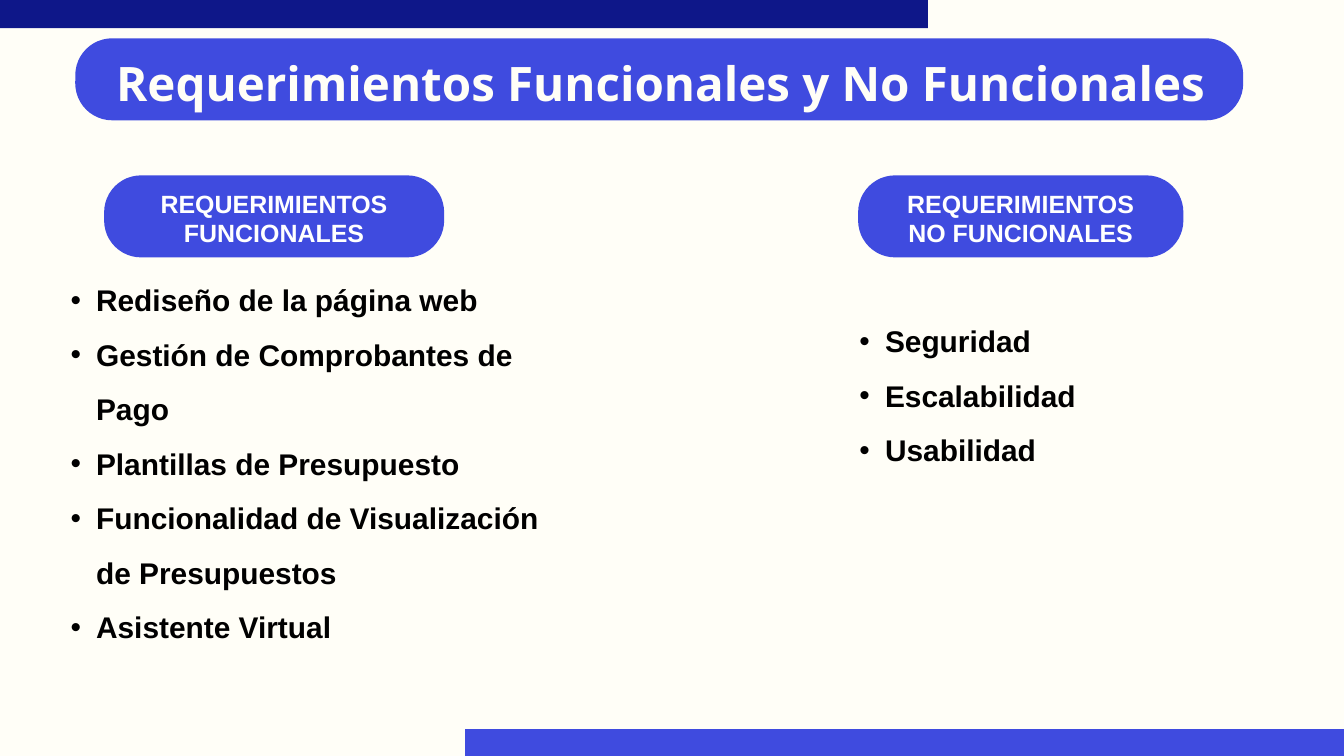
"""Build the slide that lists functional and non-functional requirements."""
from dataclasses import dataclass
from typing import Any, NamedTuple

from lxml import etree
from pptx import Presentation
from pptx import util as u
from pptx.dml import color
from pptx.enum import shapes, text
from pptx.oxml import ns

WIDTH, HEIGHT = u.Inches(20), u.Inches(11.25)
COLUMNS, ROWS = 20, 11.25
PILL_ROUNDING = 0.45
BULLET_INDENT = 0.76


class Area(NamedTuple):
    left: float
    top: float
    width: float
    height: float


class TextStyle(NamedTuple):
    font: dict[str, Any]
    color: str
    paragraph: dict[str, Any]
    bullet: str = ""


@dataclass(frozen=True)
class Theme:
    background: str = "FFFEF7"
    accent: str = "3F4BDF"
    dark: str = "0E1789"
    title: TextStyle = TextStyle(
        {"name": "Open Sans", "size": u.Pt(50.9), "bold": True}, "FFFEF7",
        {"alignment": text.PP_ALIGN.CENTER, "line_spacing": 1.4})
    heading: TextStyle = TextStyle(
        {"name": "Arial", "size": u.Pt(26.7), "bold": True}, "FFFFFF",
        {"alignment": text.PP_ALIGN.CENTER})
    item: TextStyle = TextStyle(
        {"name": "Arial", "size": u.Pt(32), "bold": True}, "000000",
        {"level": 1, "line_spacing": 1.52}, "•")


@dataclass(frozen=True)
class Requirements:
    heading: str
    pill: Area
    items: tuple[str, ...]
    list_area: Area


THEME = Theme()
TITLE = "Requerimientos Funcionales y No Funcionales"
TITLE_PILL = Area(1.12, 0.57, 17.38, 1.22)
TITLE_AREA = Area(1.67, 0.46, 16.32, 1.95)
BARS = (
    (Area(-2.1, -1.21, 15.91, 1.63), THEME.dark),
    (Area(6.92, 10.85, 13.8, 0.9), THEME.accent),
)
GROUPS = (
    Requirements(
        "REQUERIMIENTOS FUNCIONALES",
        Area(1.55, 2.61, 5.06, 1.22),
        ("Rediseño de la página web", "Gestión de Comprobantes de Pago",
         "Plantillas de Presupuesto",
         "Funcionalidad de Visualización de Presupuestos", "Asistente Virtual"),
        Area(0.67, 3.92, 7.9, 5.29)),
    Requirements(
        "REQUERIMIENTOS NO FUNCIONALES",
        Area(12.77, 2.61, 4.84, 1.22),
        ("Seguridad", "Escalabilidad", "Usabilidad"),
        Area(12.41, 4.53, 5.89, 2.78)),
)


def across(columns: float) -> int:
    """Turn grid columns into a length."""
    return round(WIDTH * columns / COLUMNS)


def down(rows: float) -> int:
    """Turn grid rows into a length."""
    return round(HEIGHT * rows / ROWS)


def place(area: Area) -> tuple[int, int, int, int]:
    """Turn a grid area into left, top, width and height."""
    return across(area.left), down(area.top), across(area.width), down(area.height)


def apply(target: Any, values: dict[str, Any]) -> None:
    """Set every named attribute on the target."""
    for name, value in values.items():
        setattr(target, name, value)


def add_block(slide: Any, kind: shapes.MSO_SHAPE, area: Area, fill: str) -> Any:
    """Draw a plain filled shape without line or shadow."""
    shape = slide.shapes.add_shape(kind, *place(area))
    shape.shadow.inherit = False
    shape.fill.solid()
    shape.fill.fore_color.rgb = color.RGBColor.from_string(fill)
    shape.line.fill.background()
    return shape


def add_pill(slide: Any, area: Area) -> None:
    """Draw a bar with round ends."""
    pill = add_block(slide, shapes.MSO_SHAPE.ROUNDED_RECTANGLE, area, THEME.accent)
    pill.adjustments[0] = PILL_ROUNDING


def add_bullet(paragraph: Any, style: TextStyle) -> None:
    """Give a paragraph a hanging bullet."""
    properties = paragraph._p.get_or_add_pPr()
    properties.set("marL", str(across(BULLET_INDENT)))
    properties.set("indent", str(-across(BULLET_INDENT / 2)))
    bullet_color = etree.SubElement(properties, ns.qn("a:buClr"))
    etree.SubElement(bullet_color, ns.qn("a:srgbClr"), val=style.color)
    etree.SubElement(properties, ns.qn("a:buFont"), typeface=style.font["name"])
    etree.SubElement(properties, ns.qn("a:buChar"), char=style.bullet)


def add_text(slide: Any, area: Area, lines: tuple[str, ...], style: TextStyle) -> None:
    """Write one paragraph for each line in a text box."""
    frame = slide.shapes.add_textbox(*place(area)).text_frame
    apply(frame, {"word_wrap": True, "auto_size": text.MSO_AUTO_SIZE.SHAPE_TO_FIT_TEXT,
                  "margin_left": 0, "margin_top": 0,
                  "margin_right": 0, "margin_bottom": 0})
    for index, line in enumerate(lines):
        paragraph = frame.add_paragraph() if index else frame.paragraphs[0]
        apply(paragraph, style.paragraph)
        if style.bullet:
            add_bullet(paragraph, style)
        run = paragraph.add_run()
        run.text = line
        apply(run.font, style.font)
        run.font.color.rgb = color.RGBColor.from_string(style.color)


def add_requirements(slide: Any, group: Requirements) -> None:
    """Draw a heading pill and the list under it."""
    pill = group.pill
    add_pill(slide, pill)
    label = Area(pill.left + 0.48, pill.top + 0.19, pill.width - 0.96, 0.87)
    add_text(slide, label, (group.heading,), THEME.heading)
    add_text(slide, group.list_area, group.items, THEME.item)


def main() -> None:
    """Build and save the presentation."""
    presentation = Presentation()
    apply(presentation, {"slide_width": WIDTH, "slide_height": HEIGHT})
    slide = presentation.slides.add_slide(presentation.slide_layouts[6])
    slide.background.fill.solid()
    slide.background.fill.fore_color.rgb = color.RGBColor.from_string(THEME.background)
    add_pill(slide, TITLE_PILL)
    for area, fill in BARS:
        add_block(slide, shapes.MSO_SHAPE.RECTANGLE, area, fill)
    for group in GROUPS:
        add_requirements(slide, group)
    add_text(slide, TITLE_AREA, (TITLE,), THEME.title)
    presentation.save("out.pptx")


if __name__ == "__main__":
    main()
